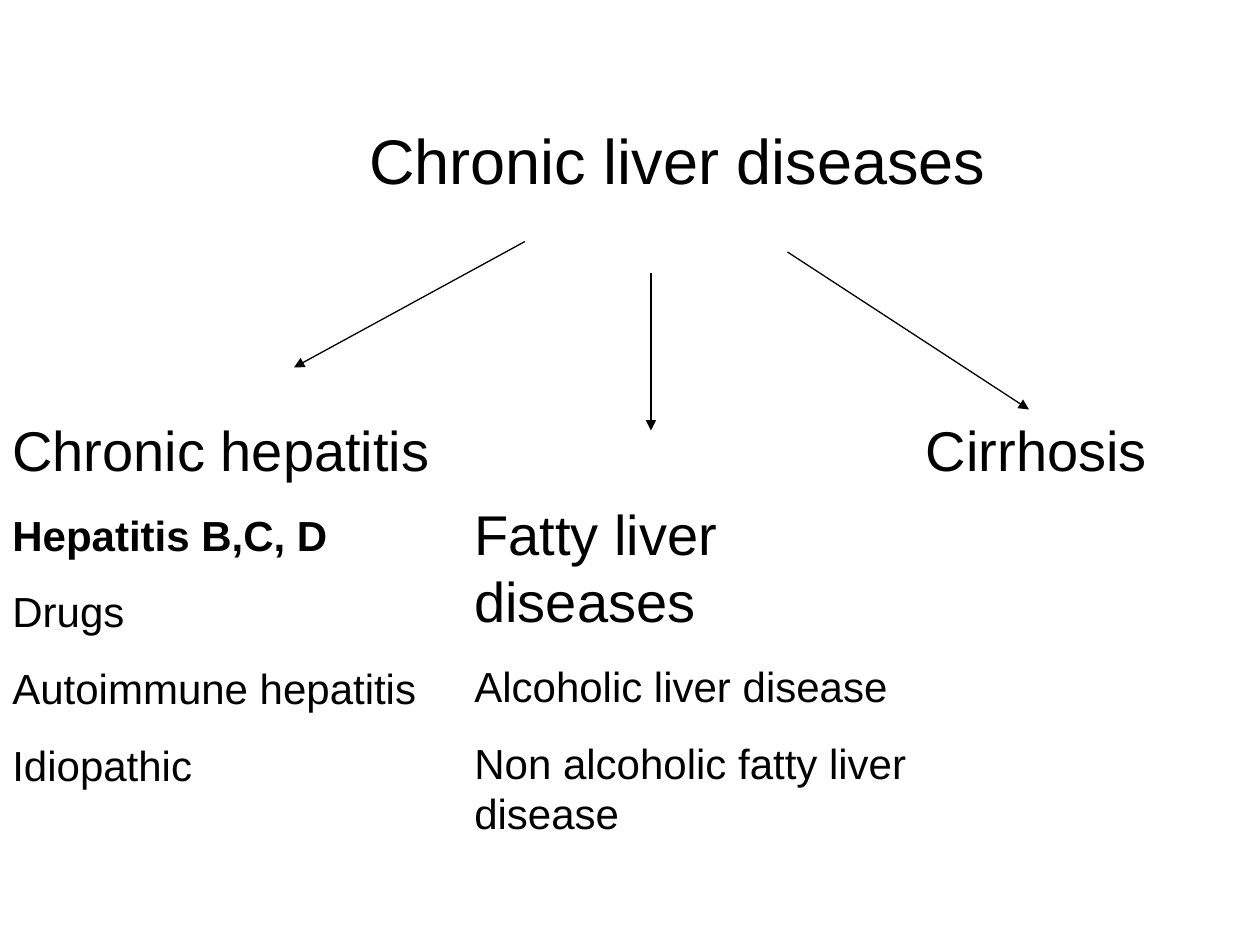
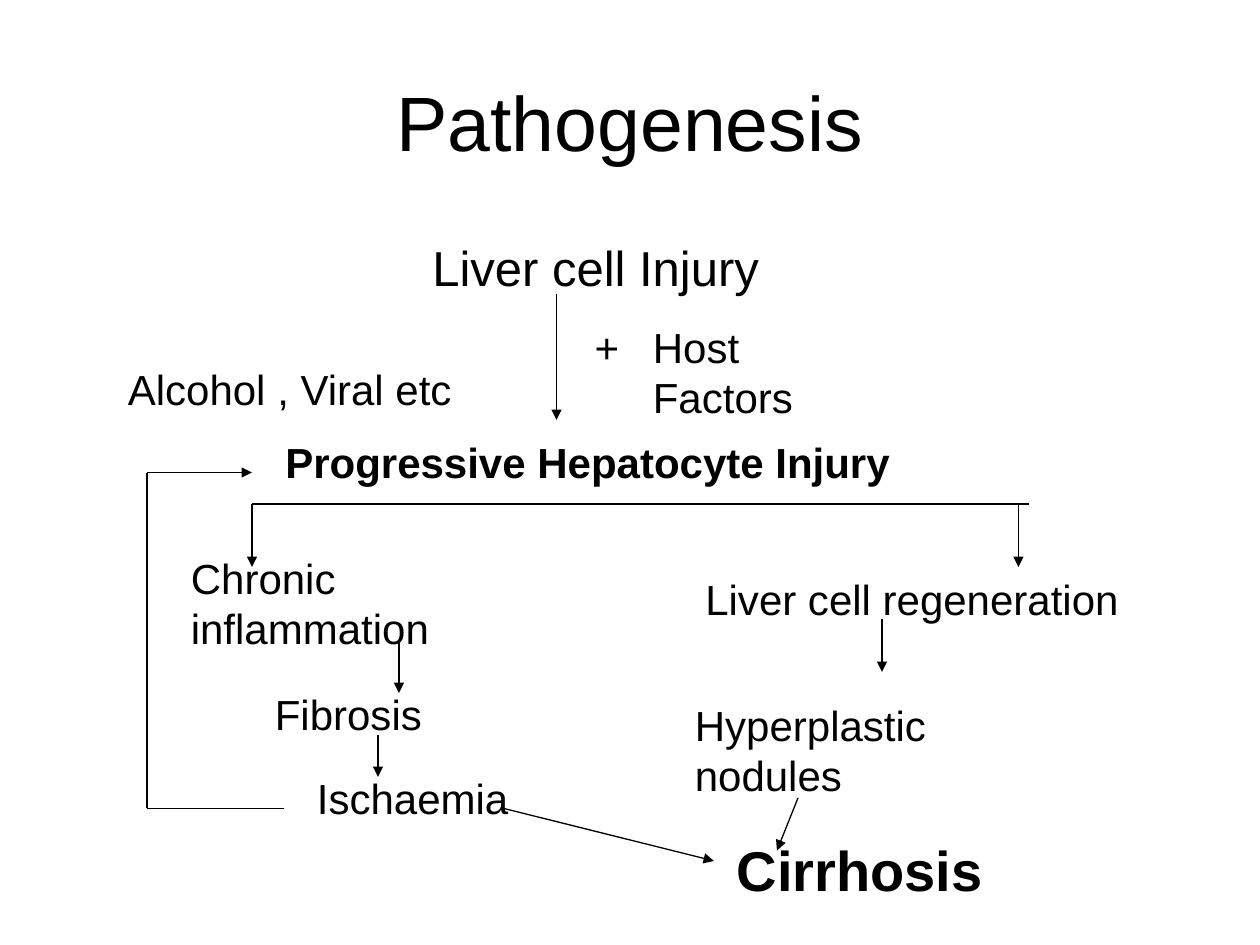
from dataclasses import dataclass
from itertools import pairwise

from lxml.etree import SubElement
from pptx import Presentation
from pptx.dml.color import RGBColor
from pptx.enum.shapes import MSO_CONNECTOR as Connector
from pptx.enum.text import MSO_ANCHOR as Anchor, PP_ALIGN as Align
from pptx.oxml.ns import qn
from pptx.util import Cm, Pt


@dataclass(frozen=True)
class Theme:
    font: str = "Arial"
    ink: RGBColor = RGBColor(0, 0, 0)
    paper: RGBColor = RGBColor(255, 255, 255)
    title: int = 44
    topic: int = 36
    heading: int = 32
    cause: int = 28
    body: int = 24
    line: float = 0.75
    gap_ratio: float = 0.625


THEME = Theme()
SLIDE_WIDTH, SLIDE_HEIGHT = Cm(25.4), Cm(19.05)
COLUMNS = 120
BOLD = {"bold": True}
HEADING = {"size": THEME.heading}

# Places count cells of a grid with 120 columns: left, top, width, height.
DISEASES = {
    "labels": [
        ((34, 11, 74, 8.4), [("Chronic liver diseases", {"size": THEME.topic})]),
        ((0, 39, 47, 36.8), [
            ("Chronic hepatitis", HEADING),
            ("Hepatitis B,C, D", BOLD),
            ("Drugs", {}),
            ("Autoimmune hepatitis", {}),
            ("Idiopathic", {}),
        ]),
        ((44, 47, 47.5, 33.5), [
            ("Fatty liver diseases", HEADING),
            ("Alcoholic liver disease", {}),
            ("Non alcoholic fatty liver disease", {}),
        ]),
        ((87, 39, 28, 7.7), [("Cirrhosis", HEADING)]),
    ],
    "arrows": [
        [(50, 23), (28, 35)],
        [(62, 26), (62, 41)],
        [(75, 24), (98, 39)],
    ],
    "plain_lines": [],
}

PATHOGENESIS = {
    "title": "Pathogenesis",
    "labels": [
        ((40, 22, 38, 6.8), [("Liver cell Injury", {"size": THEME.cause})]),
        ((11, 34, 34, 6), [("Alcohol , Viral etc", {})]),
        ((55.45, 30, 5.5, 6), [("+", {})]),
        ((61, 30, 24.5, 10.8), [("Host Factors", {})]),
        ((26, 41, 63, 6), [("Progressive Hepatocyte Injury", BOLD)]),
        ((17, 52, 36, 10.8), [("Chronic inflammation", {})]),
        ((25, 65, 19, 6), [("Fibrosis", {})]),
        ((29, 73, 21, 6), [("Ischaemia", {})]),
        ((66, 54, 42, 6), [("Liver cell regeneration", {})]),
        ((65, 66, 35, 10.8), [("Hyperplastic nodules", {})]),
        ((69, 79, 32, 7.7), [("Cirrhosis", HEADING | BOLD)]),
    ],
    "arrows": [
        [(53, 28), (53, 40)],
        [(24, 48), (24, 54)],
        [(97, 48), (97, 54)],
        [(38, 61), (38, 66)],
        [(36, 70), (36, 74)],
        [(84, 59), (84, 64)],
        [(48, 77), (68, 82)],
        [(76, 76), (74, 81)],
        [(27, 77), (14, 77), (14, 45), (24, 45)],
    ],
    "plain_lines": [[(24, 48), (98, 48)]],
}

TITLE_PLACE = (9, 4, 102, 15)


def on_grid(*cells):
    return [round(cell * SLIDE_WIDTH / COLUMNS) for cell in cells]


def write(paragraph, text, size=THEME.body, bold=False, align=Align.LEFT, spaced=False):
    paragraph.alignment = align
    paragraph.space_before = Pt(size * THEME.gap_ratio if spaced else 0)
    run = paragraph.add_run()
    run.text = text
    run.font.name = THEME.font
    run.font.size = Pt(size)
    run.font.bold = bold
    run.font.color.rgb = THEME.ink


def add_label(slide, place, entries, anchor=Anchor.TOP):
    frame = slide.shapes.add_textbox(*on_grid(*place)).text_frame
    frame.word_wrap = True
    frame.vertical_anchor = anchor
    for index, (text, style) in enumerate(entries):
        paragraph = frame.add_paragraph() if index else frame.paragraphs[0]
        write(paragraph, text, spaced=index > 0, **style)


def add_route(slide, stops, arrow):
    for start, end in pairwise(stops):
        segment = slide.shapes.add_connector(Connector.STRAIGHT, *on_grid(*start, *end))
        segment.line.color.rgb = THEME.ink
        segment.line.width = Pt(THEME.line)
        properties = segment.line._get_or_add_ln().getparent()
        SubElement(properties, qn("a:effectLst"))
        if arrow and end == stops[-1]:
            SubElement(properties.find(qn("a:ln")), qn("a:tailEnd"), type="triangle")


def add_slide(deck, content):
    slide = deck.slides.add_slide(deck.slide_layouts[6])
    slide.background.fill.solid()
    slide.background.fill.fore_color.rgb = THEME.paper
    if "title" in content:
        style = {"size": THEME.title, "align": Align.CENTER}
        add_label(slide, TITLE_PLACE, [(content["title"], style)], Anchor.MIDDLE)
    for place, entries in content["labels"]:
        add_label(slide, place, entries)
    for stops in content["arrows"]:
        add_route(slide, stops, arrow=True)
    for stops in content["plain_lines"]:
        add_route(slide, stops, arrow=False)


def main():
    deck = Presentation()
    deck.slide_width, deck.slide_height = SLIDE_WIDTH, SLIDE_HEIGHT
    for content in (DISEASES, PATHOGENESIS):
        add_slide(deck, content)
    deck.save("out.pptx")


if __name__ == "__main__":
    main()
